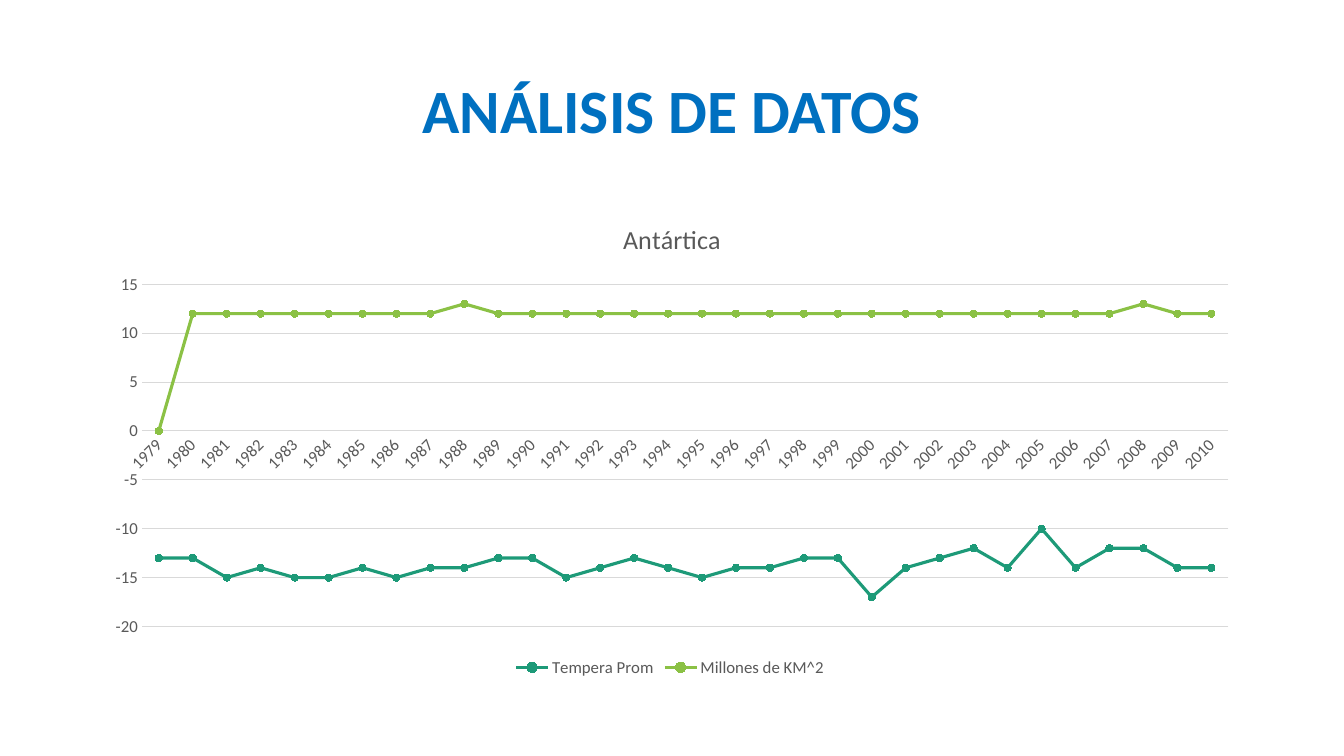
from dataclasses import dataclass

from pptx import Presentation
from pptx.chart.chart import Chart
from pptx.chart.data import CategoryChartData
from pptx.dml.color import RGBColor
from pptx.dml.fill import FillFormat
from pptx.dml.line import LineFormat
from pptx.enum.chart import XL_CHART_TYPE, XL_LEGEND_POSITION, XL_MARKER_STYLE, XL_TICK_MARK
from pptx.enum.text import MSO_ANCHOR, PP_ALIGN
from pptx.slide import Slide
from pptx.text.text import Font
from pptx.util import Cm, Pt

FONT = "Calibri"
GRAY = "595959"
RULE = "D9D9D9"
LEFT, WIDTH = Cm(2.33), Cm(29.21)
YEARS = range(1979, 2011)


@dataclass(frozen=True)
class LineSeries:
    name: str
    color: str
    values: tuple[int, ...]


SERIES = (
    LineSeries("Tempera Prom", "1D9A78", (
        -13, -13, -15, -14, -15, -15, -14, -15,
        -14, -14, -13, -13, -15, -14, -13, -14,
        -15, -14, -14, -13, -13, -17, -14, -13,
        -12, -14, -10, -14, -12, -12, -14, -14)),
    LineSeries("Millones de KM^2 ", "8BC145", (
        0, 12, 12, 12, 12, 12, 12, 12,
        12, 13, 12, 12, 12, 12, 12, 12,
        12, 12, 12, 12, 12, 12, 12, 12,
        12, 12, 12, 12, 12, 13, 12, 12)),
)


def rgb(color: str) -> RGBColor:
    return RGBColor.from_string(color)


def set_fill(fill: FillFormat, color: str) -> None:
    fill.solid()
    fill.fore_color.rgb = rgb(color)


def set_line(line: LineFormat, color: str, width: float) -> None:
    set_fill(line.fill, color)
    line.width = Pt(width)


def set_font(font: Font, size: float, color: str, bold: bool = False) -> None:
    font.name = FONT
    font.size = Pt(size)
    font.bold = bold
    font.color.rgb = rgb(color)


def add_heading(s: Slide, text: str) -> None:
    tf = s.shapes.add_textbox(LEFT, Cm(1.01), WIDTH, Cm(3.68)).text_frame
    tf.word_wrap = True
    tf.vertical_anchor = MSO_ANCHOR.MIDDLE
    p = tf.paragraphs[0]
    p.text = text
    p.alignment = PP_ALIGN.CENTER
    p.line_spacing = 0.9
    set_font(p.runs[0].font, 44, "0070C0", bold=True)


def style_axes(chart: Chart) -> None:
    cat, val = chart.category_axis, chart.value_axis
    for axis in (cat, val):
        axis.major_tick_mark = XL_TICK_MARK.NONE
        axis.minor_tick_mark = XL_TICK_MARK.NONE
        set_font(axis.tick_labels.font, 12, GRAY)
    set_line(cat.format.line, RULE, 0.75)
    cat._element.txPr.bodyPr.set("rot", "-2700000")
    val.format.line.fill.background()
    val.minimum_scale, val.maximum_scale, val.major_unit = -20, 15, 5
    val.has_major_gridlines = True
    set_line(val.major_gridlines.format.line, RULE, 0.75)


def style_series(chart: Chart) -> None:
    plot = chart.plots[0]
    plot.vary_by_categories = False
    for line, row in zip(plot.series, SERIES):
        line.smooth = False
        set_line(line.format.line, row.color, 2.25)
        marker = line.marker
        marker.style = XL_MARKER_STYLE.CIRCLE
        marker.size = 5
        set_fill(marker.format.fill, row.color)
        set_line(marker.format.line, row.color, 0.75)


def add_line_chart(s: Slide, title: str) -> None:
    data = CategoryChartData()
    data.categories = [str(year) for year in YEARS]
    for row in SERIES:
        data.add_series(row.name, row.values)
    chart = s.shapes.add_chart(
        XL_CHART_TYPE.LINE_MARKERS, LEFT, Cm(5.08), WIDTH, Cm(12.09), data).chart
    set_font(chart.font, 10, "000000")
    chart.has_title = True
    chart.chart_title.include_in_layout = False
    p = chart.chart_title.text_frame.paragraphs[0]
    p.text = title
    set_font(p.runs[0].font, 18.6, GRAY)
    chart.has_legend = True
    chart.legend.position = XL_LEGEND_POSITION.BOTTOM
    chart.legend.include_in_layout = False
    set_font(chart.legend.font, 12, GRAY)
    style_axes(chart)
    style_series(chart)


def main() -> None:
    prs = Presentation()
    prs.slide_width, prs.slide_height = Cm(33.87), Cm(19.05)
    s = prs.slides.add_slide(prs.slide_layouts[6])
    set_fill(s.background.fill, "FFFFFF")
    add_heading(s, "ANÁLISIS DE DATOS")
    add_line_chart(s, "Antártica")
    prs.save("out.pptx")


if __name__ == "__main__":
    main()
